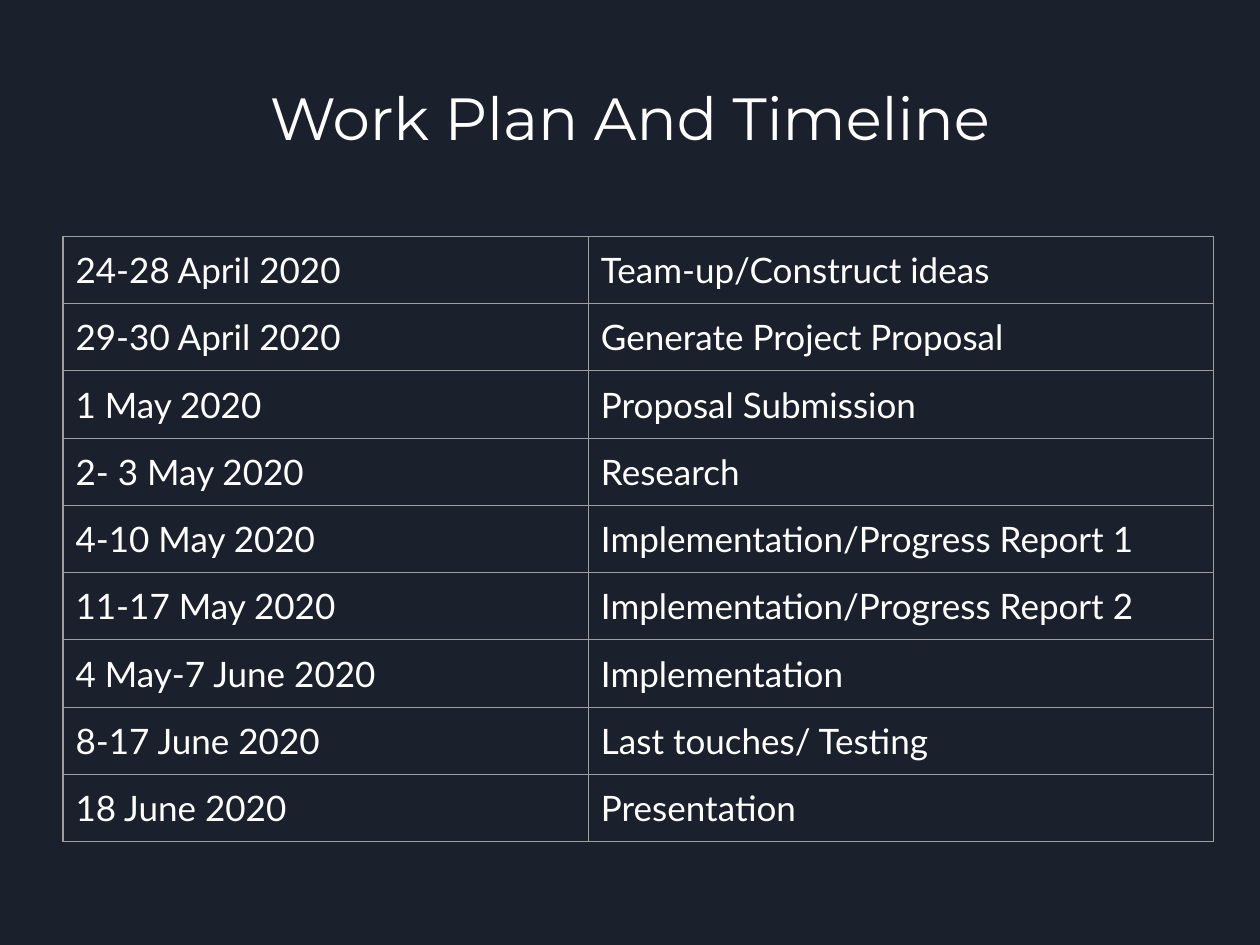
from typing import NamedTuple

from lxml import etree
from pptx import Presentation
from pptx.dml.color import RGBColor
from pptx.enum.text import MSO_ANCHOR, PP_ALIGN
from pptx.oxml.ns import qn
from pptx.util import Inches, Pt

CENTER, LEFT = PP_ALIGN.CENTER, PP_ALIGN.LEFT
MIDDLE, TOP = MSO_ANCHOR.MIDDLE, MSO_ANCHOR.TOP

SLIDE_WIDTH, SLIDE_HEIGHT = Inches(10), Inches(7.5)
BACKGROUND, TEXT_COLOUR, BORDER_COLOUR = "1B212C", "FFFFFF", "9E9E9E"
COLUMN_SHARES = (0.417, 0.496)
ROW_HEIGHT = Inches(0.53)
CELL_MARGIN = Inches(0.1)


class Stage(NamedTuple):
    dates: str
    task: str


STAGES = (
    Stage("24-28 April 2020", "Team-up/Construct ideas"),
    Stage("29-30 April 2020", "Generate Project Proposal"),
    Stage("1 May 2020", "Proposal Submission"),
    Stage("2- 3 May 2020", "Research"),
    Stage("4-10 May 2020", "Implementation/Progress Report 1"),
    Stage("11-17 May 2020", "Implementation/Progress Report 2"),
    Stage("4 May-7 June 2020", "Implementation"),
    Stage("8-17 June 2020", "Last touches/ Testing"),
    Stage("18 June 2020", "Presentation"),
)


def colour(hex_value: str) -> RGBColor:
    return RGBColor.from_string(hex_value)


def write_text(frame, text: str, *, font: str, size: float, align=LEFT, anchor=TOP) -> None:
    frame.word_wrap = True
    frame.vertical_anchor = anchor
    paragraph = frame.paragraphs[0]
    paragraph.alignment = align
    run = paragraph.add_run()
    run.text = text
    run.font.name = font
    run.font.size = Pt(size)
    run.font.color.rgb = colour(TEXT_COLOUR)


def set_borders(cell, hex_value: str, width: float) -> None:
    properties = cell._tc.get_or_add_tcPr()
    for side in ("a:lnL", "a:lnR", "a:lnT", "a:lnB"):
        line = etree.SubElement(properties, qn(side), w=str(Pt(width)))
        fill = etree.SubElement(line, qn("a:solidFill"))
        etree.SubElement(fill, qn("a:srgbClr"), val=hex_value)


def add_title(slide, text: str) -> None:
    box = slide.shapes.add_textbox(
        int(SLIDE_WIDTH * 0.05), int(SLIDE_HEIGHT * 0.04),
        int(SLIDE_WIDTH * 0.9), Inches(1.25))
    write_text(box.text_frame, text, font="Montserrat", size=34,
               align=CENTER, anchor=MIDDLE)


def add_timeline(slide, stages: tuple[Stage, ...]) -> None:
    table = slide.shapes.add_table(
        len(stages), len(COLUMN_SHARES),
        int(SLIDE_WIDTH * 0.05), int(SLIDE_HEIGHT * 0.25),
        int(SLIDE_WIDTH * sum(COLUMN_SHARES)), ROW_HEIGHT * len(stages)).table
    table.first_row = table.horz_banding = False
    for column, share in zip(table.columns, COLUMN_SHARES):
        column.width = int(SLIDE_WIDTH * share)
    for row, stage in zip(table.rows, stages):
        row.height = ROW_HEIGHT
        for cell, text in zip(row.cells, stage):
            cell.margin_left = cell.margin_right = CELL_MARGIN
            cell.margin_top = cell.margin_bottom = CELL_MARGIN
            set_borders(cell, BORDER_COLOUR, 0.75)
            cell.fill.background()
            write_text(cell.text_frame, text, font="Lato", size=20)


def main() -> None:
    presentation = Presentation()
    presentation.slide_width, presentation.slide_height = SLIDE_WIDTH, SLIDE_HEIGHT
    slide = presentation.slides.add_slide(presentation.slide_layouts[6])

    # Background
    slide.background.fill.solid()
    slide.background.fill.fore_color.rgb = colour(BACKGROUND)

    # Heading and schedule
    add_title(slide, "Work Plan And Timeline")
    add_timeline(slide, STAGES)

    presentation.save("out.pptx")


if __name__ == "__main__":
    main()
